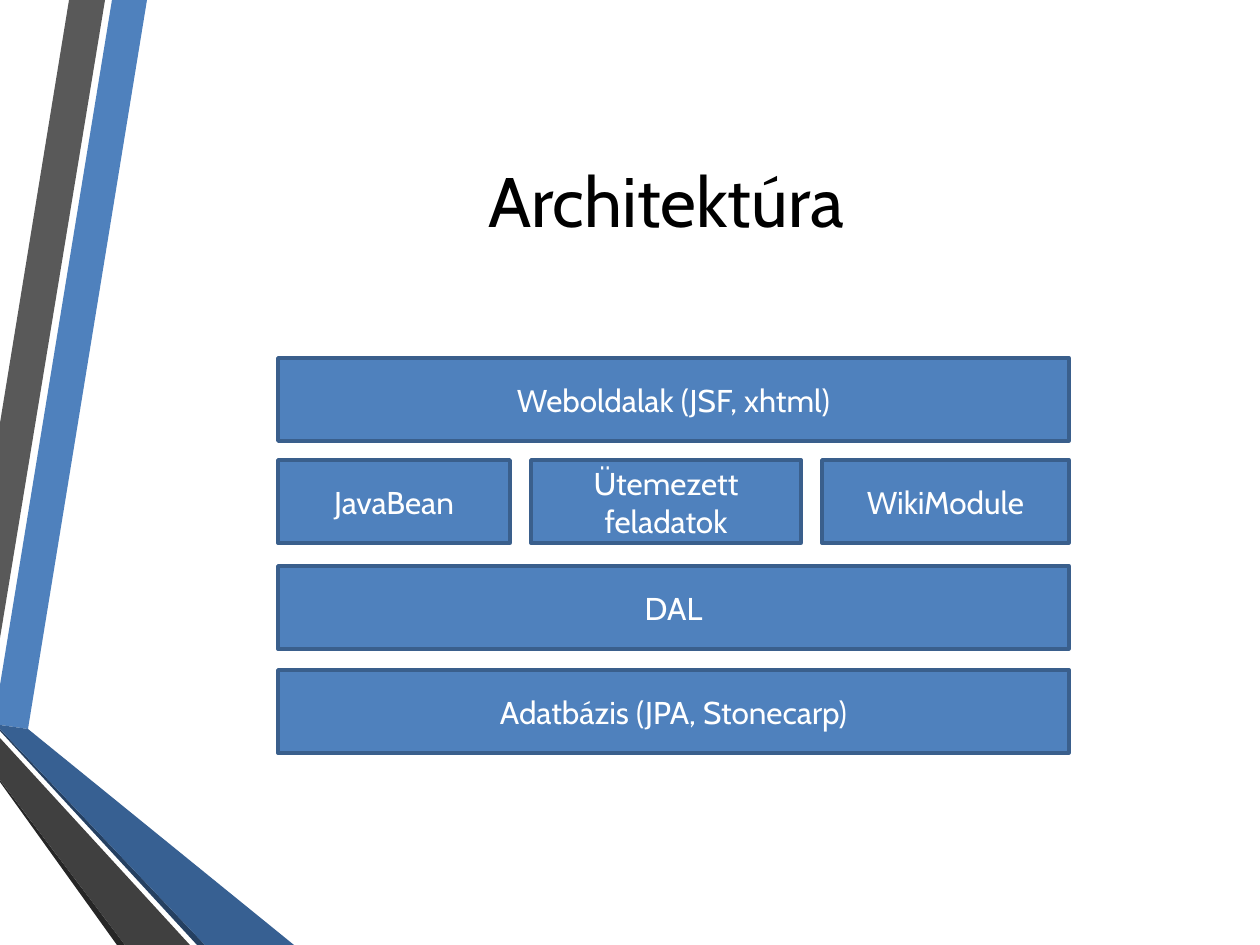
from dataclasses import dataclass

from pptx import Presentation
from pptx.dml.color import RGBColor
from pptx.enum.shapes import MSO_SHAPE
from pptx.enum.text import MSO_ANCHOR, PP_ALIGN
from pptx.util import Pt

RECTANGLE = MSO_SHAPE.RECTANGLE
MIDDLE = MSO_ANCHOR.MIDDLE
CENTER = PP_ALIGN.CENTER
PIXEL = 914400 / 126


@dataclass(frozen=True)
class Theme:
    font: str = "Cabin"
    title_size: int = 40
    box_size: int = 18
    border_width: int = 2
    title: str = "000000"
    box_text: str = "FFFFFF"
    blue: str = "4F81BD"
    border: str = "3A5F8C"
    gray: str = "595959"
    black: str = "262626"
    navy: str = "254061"
    dark_blue: str = "376092"
    dark_gray: str = "404040"


def emu(*pixels):
    return [round(value * PIXEL) for value in pixels]


class SlideBuilder:
    def __init__(self, slide, theme):
        self.shapes = slide.shapes
        self.theme = theme

    def paint(self, shape, fill):
        shape.shadow.inherit = False
        shape.fill.solid()
        shape.fill.fore_color.rgb = RGBColor.from_string(fill)

    def set_text(self, shape, text, size, color):
        frame = shape.text_frame
        frame.word_wrap = True
        frame.vertical_anchor = MIDDLE
        paragraph = frame.paragraphs[0]
        paragraph.text = text
        paragraph.alignment = CENTER
        paragraph.font.name = self.theme.font
        paragraph.font.size = Pt(size)
        paragraph.font.color.rgb = RGBColor.from_string(color)

    def ribbon(self, points, fill):
        builder = self.shapes.build_freeform(*points[0], scale=PIXEL)
        builder.add_line_segments(points[1:], close=True)
        shape = builder.convert_to_shape()
        self.paint(shape, fill)
        shape.line.fill.background()

    def title(self, text, left, top, width, height):
        shape = self.shapes.add_textbox(*emu(left, top, width, height))
        self.set_text(shape, text, self.theme.title_size, self.theme.title)

    def box(self, text, left, top, width, height):
        shape = self.shapes.add_shape(RECTANGLE, *emu(left, top, width, height))
        self.paint(shape, self.theme.blue)
        shape.line.color.rgb = RGBColor.from_string(self.theme.border)
        shape.line.width = Pt(self.theme.border_width)
        self.set_text(shape, text, self.theme.box_size, self.theme.box_text)

    def layer(self, boxes, left, top, height, gap):
        for text, width in boxes:
            self.box(text, left, top, width, height)
            left += width + gap


theme = Theme()
presentation = Presentation()
presentation.slide_width, presentation.slide_height = emu(1260, 945)
slide = presentation.slides.add_slide(presentation.slide_layouts[6])
builder = SlideBuilder(slide, theme)

ribbons = [
    ([(0, 685), (0, 725), (28, 729), (147, 0), (112, 0)], theme.blue),
    ([(105, 0), (69, 0), (0, 423), (0, 638)], theme.gray),
    ([(0, 780), (0, 782), (117, 945), (125, 945)], theme.black),
    ([(0, 729), (0, 731), (197, 945), (205, 945)], theme.navy),
    ([(0, 729), (205, 945), (294, 945), (28, 729), (0, 725)], theme.dark_blue),
    ([(0, 780), (125, 945), (190, 945), (0, 738)], theme.dark_gray),
]
for points, fill in ribbons:
    builder.ribbon(points, fill)

builder.title("Architektúra", 135, 63, 1062, 273)

full_width = 791
layers = [
    (358, [("Weboldalak (JSF, xhtml)", full_width)]),
    (460, [("JavaBean", 232), ("Ütemezett feladatok", 270), ("WikiModule", 247)]),
    (566, [("DAL", full_width)]),
    (670, [("Adatbázis (JPA, Stonecarp)", full_width)]),
]
for top, boxes in layers:
    builder.layer(boxes, left=278, top=top, height=83, gap=21)

presentation.save("out.pptx")
